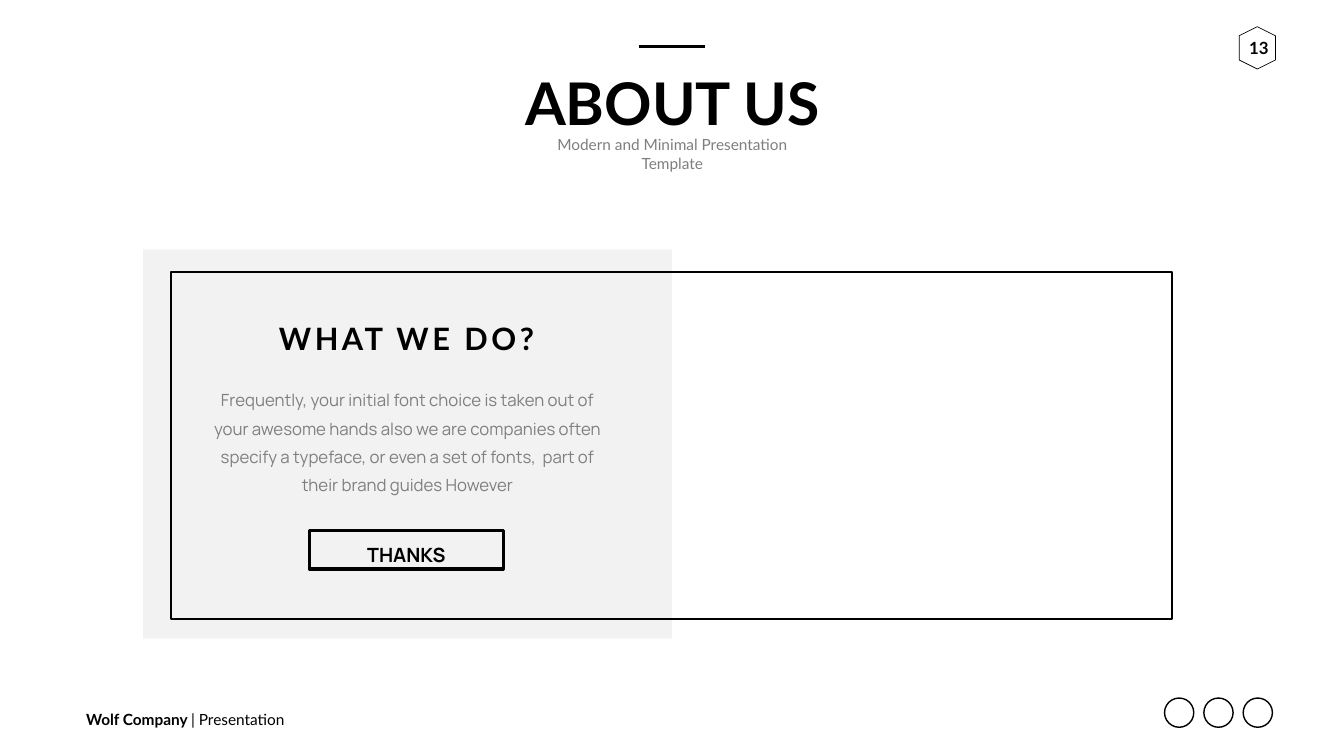
from pptx import Presentation
from pptx.dml.color import RGBColor
from pptx.enum.shapes import MSO_CONNECTOR, MSO_SHAPE
from pptx.enum.text import MSO_ANCHOR, PP_ALIGN
from pptx.oxml.ns import qn
from pptx.util import Inches, Pt
from lxml import etree

COLORS = {"ink": "000000", "muted": "7F7F7F", "panel": "F2F2F2"}


def rgb(name):
    return RGBColor.from_string(COLORS[name])


def add_box(s, kind, x, y, w, h, fill=None, line=None):
    """Add a preset shape; fill is a colour name and line a width in points."""
    sp = s.shapes.add_shape(kind, Inches(x), Inches(y), Inches(w), Inches(h))
    sp.shadow.inherit = False
    if fill:
        sp.fill.solid()
        sp.fill.fore_color.rgb = rgb(fill)
    else:
        sp.fill.background()
    if line:
        sp.line.color.rgb = rgb("ink")
        sp.line.width = Pt(line)
    else:
        sp.line.fill.background()
    return sp


def add_text(s, x, y, w, h, runs, size, font="Lato", color="ink", wrap=False,
             align=PP_ALIGN.CENTER, anchor=MSO_ANCHOR.MIDDLE,
             inset=(0.1, 0.05), leading=None, tracking=None):
    """Add one paragraph; runs holds (text, bold) pairs."""
    tf = s.shapes.add_textbox(Inches(x), Inches(y), Inches(w), Inches(h)).text_frame
    tf.word_wrap = wrap
    tf.vertical_anchor = anchor
    tf.margin_left = tf.margin_right = Inches(inset[0])
    tf.margin_top = tf.margin_bottom = Inches(inset[1])
    p = tf.paragraphs[0]
    p.alignment = align
    if leading:
        p.line_spacing = Pt(leading)
    for text, bold in runs:
        r = p.add_run()
        r.text = text
        r.font.name = font
        r.font.size = Pt(size)
        r.font.bold = bold
        r.font.color.rgb = rgb(color)
        if tracking:
            r.font._element.set("spc", str(tracking * 100))


def add_header(s, x, y, w):
    mid = x + w / 2
    rule = s.shapes.add_connector(MSO_CONNECTOR.STRAIGHT, Inches(mid - 0.65),
                                  Inches(y), Inches(mid + 0.65), Inches(y))
    rule.line.color.rgb = rgb("ink")
    rule.line.width = Pt(4.5)
    etree.SubElement(rule._element.spPr, qn("a:effectLst"))
    add_text(s, x, y + 0.36, w, 1.51, [("ABOUT US", True)], 84,
             anchor=MSO_ANCHOR.TOP)
    add_text(s, x + 0.05, y + 1.9, w - 0.1, 0.47,
             [("Modern and Minimal Presentation Template", False)], 22,
             color="muted", wrap=True)


def add_page_badge(s, x, y):
    sp = add_box(s, MSO_SHAPE.HEXAGON, x, y, 0.84, 0.72, line=1)
    sp.rotation = 90
    add_text(s, x, y + 0.06, 0.9, 0.61, [("13", True)], 24,
             anchor=MSO_ANCHOR.TOP, inset=(0.1, 0.1))


def add_about_panel(s, x, y, w, h):
    add_box(s, MSO_SHAPE.RECTANGLE, x, y, w, h, fill="panel")
    add_text(s, x + 2.68, y + 0.95, 5.09, 1.19, [("WHAT WE DO?", True)], 44,
             inset=(0, 0), leading=85, tracking=5)
    add_text(s, x + 1.1, y + 2.51, 8.28, 2.48,
             [("Frequently, your initial font choice is taken out of your "
               "awesome hands also we are companies often specify a typeface, "
               "or even a set of fonts,  part of their brand guides However",
               False)],
             24, font="Manrope", color="muted", wrap=True,
             anchor=MSO_ANCHOR.TOP, inset=(0.24, 0.12), leading=40.4)
    add_box(s, MSO_SHAPE.RECTANGLE, x + 3.3, y + 5.58, 3.84, 0.76, line=4.5)
    add_text(s, x + 4.32, y + 5.77, 1.8, 0.57, [("THANKS", True)], 28,
             font="Manrope")
    add_box(s, MSO_SHAPE.RECTANGLE, x + 0.55, y + 0.44, 19.86, 6.89, line=2.8)


def add_footer(s, x, y, w):
    add_text(s, x, y + 0.2, 4.17, 0.47,
             [("Wolf Company ", True), ("| Presentation", False)], 22,
             align=PP_ALIGN.LEFT)
    size, pitch, count = 0.58, 0.78, 3
    first = x + w - size - (count - 1) * pitch
    for i in range(count):
        add_box(s, MSO_SHAPE.OVAL, first + i * pitch, y + 0.02, size, size, line=2)


def main():
    prs = Presentation()
    prs.slide_width, prs.slide_height = Inches(26.66), Inches(15)
    s = prs.slides.add_slide(prs.slide_layouts[6])
    add_footer(s, 1.61, 13.83, 23.63)
    add_page_badge(s, 24.52, 0.59)
    add_header(s, 10.3, 0.92, 6.07)
    add_about_panel(s, 2.84, 4.95, 10.49, 7.72)
    prs.save("out.pptx")


if __name__ == "__main__":
    main()
